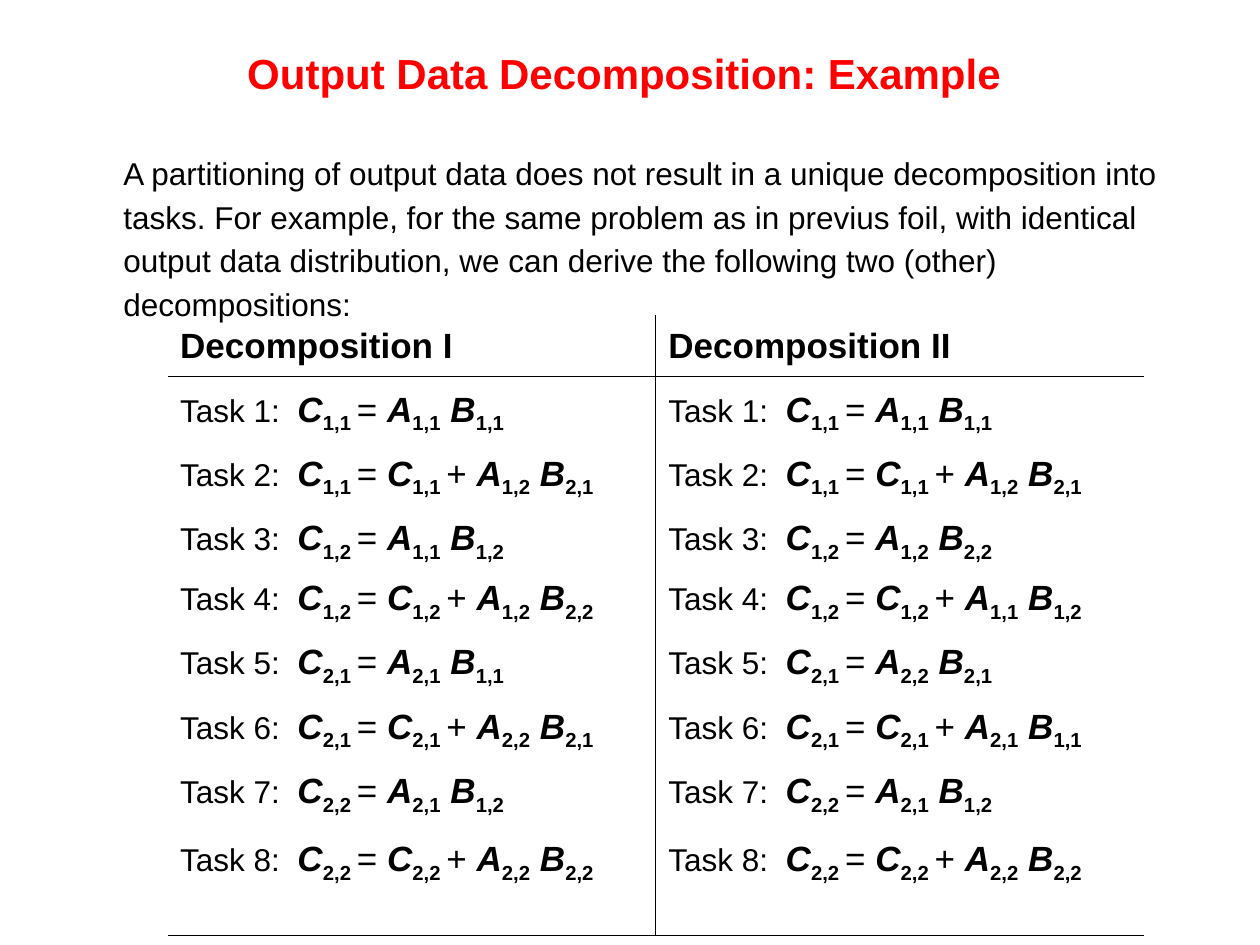
from lxml import etree
from pptx import Presentation
from pptx.dml.color import RGBColor
from pptx.enum.text import MSO_ANCHOR, PP_ALIGN
from pptx.oxml.ns import qn
from pptx.util import Inches, Pt

RED = RGBColor(0xFF, 0x00, 0x00)
BLACK = RGBColor(0x00, 0x00, 0x00)
CENTER, LEFT = PP_ALIGN.CENTER, PP_ALIGN.LEFT
MIDDLE, TOP = MSO_ANCHOR.MIDDLE, MSO_ANCHOR.TOP
FONT = "Arial"
SLIDE_WIDTH, SLIDE_HEIGHT = Inches(10), Inches(7.5)
THIN, THICK = Pt(0.45), Pt(1.08)

TITLE = "Output Data Decomposition: Example "
INTRODUCTION = (
    "A partitioning of output data does not result in a unique decomposition into "
    "tasks. For example, for the same problem as in previus foil, with identical "
    "output data distribution, we can derive the following two (other) decompositions:"
)

# Each block of C takes two tasks: the first assigns, the second accumulates
BLOCKS = ["1,1", "1,2", "2,1", "2,2"]
# Indices of the factors A and B, task by task
DECOMPOSITIONS = {
    "Decomposition I": [
        ("1,1", "1,1"), ("1,2", "2,1"), ("1,1", "1,2"), ("1,2", "2,2"),
        ("2,1", "1,1"), ("2,2", "2,1"), ("2,1", "1,2"), ("2,2", "2,2"),
    ],
    "Decomposition II": [
        ("1,1", "1,1"), ("1,2", "2,1"), ("1,2", "2,2"), ("1,1", "1,2"),
        ("2,2", "2,1"), ("2,1", "1,1"), ("2,1", "1,2"), ("2,2", "2,2"),
    ],
}
TASK_LINE_SPACING = [1.18, 1.26, 1.26, 1.18, 1.26, 1.26, 1.26, 1.35]

# Run formats
LABEL = {"size": Pt(18)}
OPERATOR = {"size": Pt(20)}
MATRIX = {"size": Pt(20), "bold": True, "italic": True}
INDEX = {"size": Pt(20), "bold": True}
HEADING = {"size": Pt(20), "bold": True}
TITLE_FORMAT = {"size": Pt(24), "bold": True}


def add_run(paragraph, text, text_format, color=BLACK):
    run = paragraph.add_run()
    run.text = text
    for name, value in {"name": FONT, **text_format}.items():
        setattr(run.font, name, value)
    run.font.color.rgb = color
    if text_format is INDEX:
        run.font._element.set("baseline", "-25000")


def add_text(slide, box, text, text_format, color, alignment, anchor, spacing, indent):
    """Place one paragraph in a wrapped text box."""
    frame = slide.shapes.add_textbox(*box).text_frame
    frame.word_wrap = True
    frame.vertical_anchor = anchor
    frame.margin_left = Inches(0.1) + indent
    paragraph = frame.paragraphs[0]
    paragraph.alignment = alignment
    paragraph.line_spacing = spacing
    add_run(paragraph, text, text_format, color)


def add_task(paragraph, number, factors):
    """Write one task as a label followed by its matrix equation."""
    target = BLOCKS[(number - 1) // 2]
    runs = [(f"Task {number}:  ", LABEL), ("C", MATRIX), (f"{target} ", INDEX),
            ("= ", OPERATOR)]
    if number % 2 == 0:
        runs += [("C", MATRIX), (f"{target} ", INDEX), ("+ ", OPERATOR)]
    first, second = factors
    runs += [("A", MATRIX), (first, INDEX), (" B", MATRIX), (second, INDEX)]
    for text, text_format in runs:
        add_run(paragraph, text, text_format)


def set_borders(cell, widths):
    """Draw the sides named in widths and leave the others empty."""
    properties = cell._tc.get_or_add_tcPr()
    for side in "LRTB":
        line = etree.SubElement(properties, qn(f"a:ln{side}"))
        if side in widths:
            line.set("w", str(widths[side]))
            fill = etree.SubElement(line, qn("a:solidFill"))
            etree.SubElement(fill, qn("a:srgbClr")).set("val", str(BLACK))
        else:
            etree.SubElement(line, qn("a:noFill"))


def add_task_table(slide, box):
    """One column for each decomposition: a heading above its tasks."""
    left, top, width, height = box
    columns = len(DECOMPOSITIONS)
    table = slide.shapes.add_table(2, columns, left, top, width, height).table
    table.first_row = table.horz_banding = False
    heading_height = Inches(0.47)
    table.rows[0].height = heading_height
    table.rows[1].height = height - heading_height

    for index, (heading, tasks) in enumerate(DECOMPOSITIONS.items()):
        table.columns[index].width = width // columns
        heading_cell, task_cell = table.cell(0, index), table.cell(1, index)
        inner_side = {"R": THIN} if index == 0 else {"L": THIN}
        set_borders(heading_cell, {**inner_side, "B": THIN})
        set_borders(task_cell, {**inner_side, "T": THIN, "B": THICK})
        for cell in (heading_cell, task_cell):
            cell.fill.background()

        # Heading
        paragraph = heading_cell.text_frame.paragraphs[0]
        paragraph.line_spacing = 1.15
        add_run(paragraph, heading, HEADING)

        # Tasks
        frame = task_cell.text_frame
        for number, factors in enumerate(tasks, 1):
            paragraph = frame.paragraphs[0] if number == 1 else frame.add_paragraph()
            paragraph.line_spacing = TASK_LINE_SPACING[number - 1]
            if number > 1:
                paragraph.space_before = Pt(4.5)
            add_task(paragraph, number, factors)


def main():
    presentation = Presentation()
    presentation.slide_width, presentation.slide_height = SLIDE_WIDTH, SLIDE_HEIGHT
    slide = presentation.slides.add_slide(presentation.slide_layouts[6])

    margin = Inches(0.5)
    text_width = SLIDE_WIDTH - 2 * margin
    # Title
    add_text(slide, (margin, Inches(0.08), text_width, Inches(1)), TITLE,
             TITLE_FORMAT, RED, CENTER, MIDDLE, 1.0, 0)
    # Introduction
    add_text(slide, (margin, Inches(1.13), text_width, Inches(1.45)), INTRODUCTION,
             LABEL, BLACK, LEFT, TOP, 1.15, Inches(0.38))
    # Decompositions
    add_task_table(slide, (Inches(1.33), Inches(2.5), Inches(7.75), Inches(4.91)))

    presentation.save("out.pptx")


if __name__ == "__main__":
    main()
